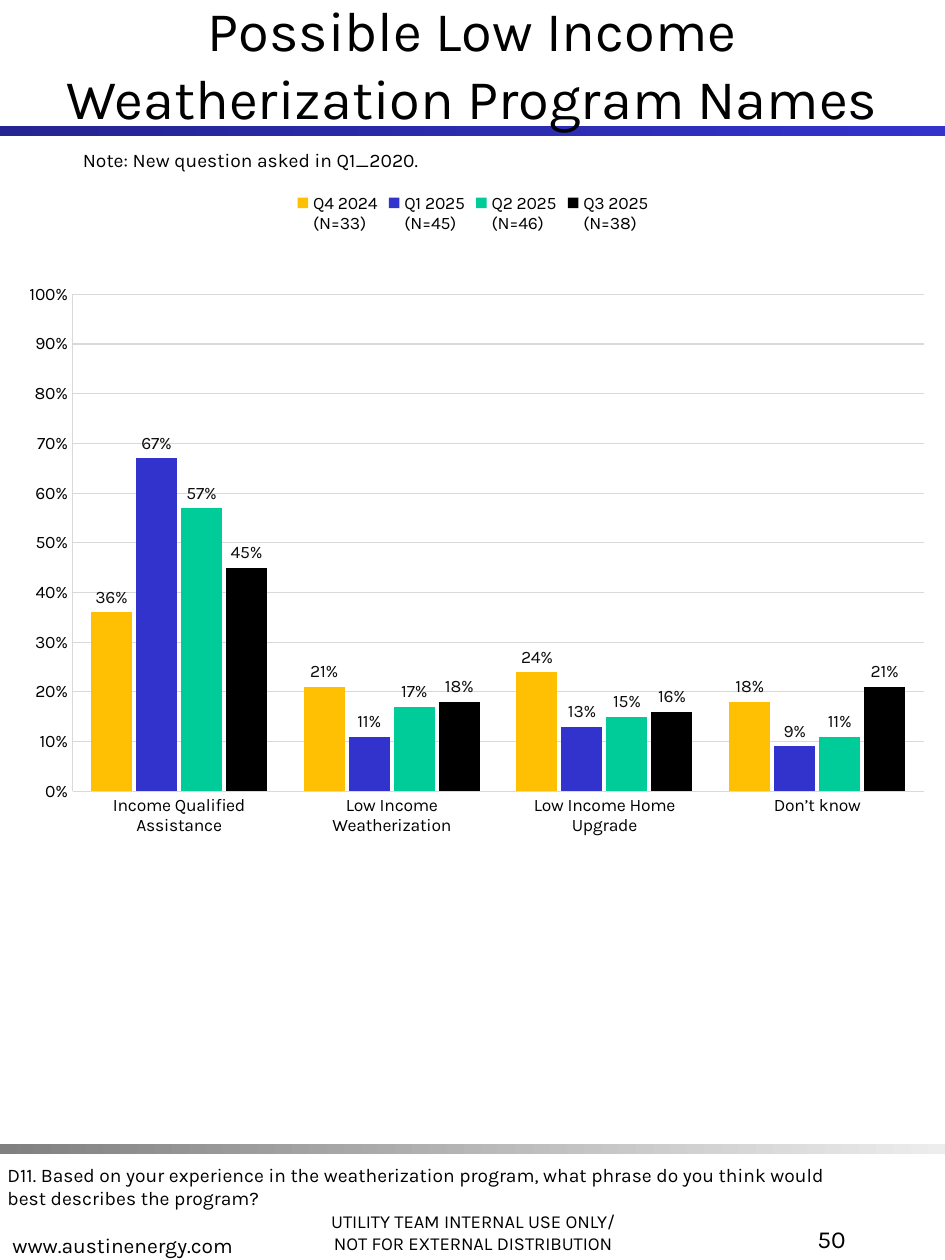
from lxml import etree
from pptx import Presentation
from pptx.chart.data import CategoryChartData
from pptx.dml.color import RGBColor
from pptx.enum import chart as ch, shapes, text
from pptx.util import Cm, Pt

FONT = "Karla"
HUES = {"black": "000000", "label": "0D0D0D", "grid": "D9D9D9",
        "navy": "242492", "blue": "3333CC", "gray": "808080", "pale": "EDEDED",
        "gold": "FFC003", "royal": "3233CC", "green": "00CC9A"}
LEFT, MID, RIGHT = text.PP_ALIGN.LEFT, text.PP_ALIGN.CENTER, text.PP_ALIGN.RIGHT
TOP, LOW = text.MSO_ANCHOR.TOP, text.MSO_ANCHOR.BOTTOM

# Content
TITLE = "Possible Low Income Weatherization Program Names"
BARS = [(2.54, "navy", "blue"), (23.06, "gray", "pale")]  # top, from, to
NOTES = [  # place, lines, size, alignment, anchor
    ((5.49, 23.7, 8.1, 1.7),
     ["UTILITY TEAM INTERNAL USE ONLY/", "NOT FOR EXTERNAL DISTRIBUTION"],
     10.5, MID, LOW),
    ((0, 23.77, 8.1, 1.7), ["www.austinenergy.com"], 12, LEFT, LOW),
    ((13.34, 24.56, 3.96, 1.7), ["50"], 14, RIGHT, TOP),
    ((-0.1, 23.32, 17.4, 1.19),
     ["D11. Based on your experience in the weatherization program, "
      "what phrase do you think would best describes the program?"],
     11, LEFT, TOP),
    ((1.42, 2.87, 16.36, 0.74), ["Note: New question asked in Q1_2020."],
     11, LEFT, TOP),
]
CATS = ["Income Qualified Assistance", "Low Income Weatherization",
        "Low Income Home Upgrade", "Don’t know"]
SERIES = [
    ("Q4 2024\n(N=33)", "gold", (0.36, 0.21, 0.24, 0.18)),
    ("Q1 2025\n(N=45)", "royal", (0.67, 0.11, 0.13, 0.09)),
    ("Q2 2025\n(N=46)", "green", (0.57, 0.17, 0.15, 0.11)),
    ("Q3 2025\n(N=38)", "black", (0.45, 0.18, 0.16, 0.21)),
]
PLOT = {"x": 0.07, "y": 0.165, "w": 0.914, "h": 0.717}


def rgb(name):
    return RGBColor.from_string(HUES[name])


def style(font, size, hue="black"):
    font.name, font.size, font.color.rgb = FONT, Pt(size), rgb(hue)


def write(frame, lines, size, align, anchor):
    frame.word_wrap, frame.vertical_anchor = True, anchor
    for i, line in enumerate(lines):
        para = frame.add_paragraph() if i else frame.paragraphs[0]
        para.alignment = align
        run = para.add_run()
        run.text = line
        style(run.font, size)


def rule(line, width):
    line.color.rgb, line.width = rgb("grid"), Pt(width)


prs = Presentation()
prs.slide_width, prs.slide_height = Cm(19.05), Cm(25.4)
slide = prs.slides.add_slide(prs.slide_layouts[5])

# Gradient bars
for top, start, end in BARS:
    bar = slide.shapes.add_shape(shapes.MSO_SHAPE.RECTANGLE, 0, Cm(top),
                                 prs.slide_width, Cm(0.2))
    bar.shadow.inherit = False
    bar.line.fill.background()
    bar.fill.gradient()
    bar.fill.gradient_angle = 0
    for stop, hue in zip(bar.fill.gradient_stops, (start, end)):
        stop.color.rgb = rgb(hue)

# Title, in front of the bars
title = slide.shapes.title
title.left, title.top, title.width, title.height = 0, 0, prs.slide_width, Cm(2.54)
write(title.text_frame, [TITLE], 32, MID, text.MSO_ANCHOR.MIDDLE)
slide.shapes._spTree.append(title._element)

# Notes and footer
for place, *rest in NOTES:
    box = slide.shapes.add_textbox(*map(Cm, place))
    write(box.text_frame, *rest)

# Chart
data = CategoryChartData(number_format="0%")
data.categories = CATS
for name, _, vals in SERIES:
    data.add_series(name, vals)
chart = slide.shapes.add_chart(ch.XL_CHART_TYPE.COLUMN_CLUSTERED, Cm(0.15), Cm(3.63),
                               Cm(18.77), Cm(13.97), data).chart
style(chart.font, 10)
chart.has_title = False
chart.has_legend = True
chart.legend.position = ch.XL_LEGEND_POSITION.TOP
chart.legend.include_in_layout = False
style(chart.legend.font, 10)

# Columns and their labels
plot = chart.plots[0]
plot.gap_width, plot.overlap, plot.vary_by_categories = 90, -10, False
for ser, (_, hue, _) in zip(plot.series, SERIES):
    ser.format.fill.solid()
    ser.format.fill.fore_color.rgb = rgb(hue)
    tags = ser.data_labels
    tags.show_value, tags.position = True, ch.XL_LABEL_POSITION.OUTSIDE_END
    tags.number_format, tags.number_format_is_linked = "0%", False
    style(tags.font, 10, "label")

# Axes
for axis, width in ((chart.category_axis, 0.62), (chart.value_axis, 0.41)):
    axis.major_tick_mark = axis.minor_tick_mark = ch.XL_TICK_MARK.NONE
    style(axis.tick_labels.font, 10)
    rule(axis.format.line, width)
axis = chart.value_axis
axis.minimum_scale, axis.maximum_scale, axis.major_unit = 0, 1, 0.1
axis.tick_labels.number_format = "0%"
axis.tick_labels.number_format_is_linked = False
axis.has_major_gridlines = True
rule(axis.major_gridlines.format.line, 0.62)

# Fixed inner plot area
area = chart._chartSpace.chart.plotArea
NS = "{%s}" % area.nsmap["c"]
for old in area.findall(NS + "layout"):
    area.remove(old)
layout = etree.Element(NS + "layout")
area.insert(0, layout)
manual = etree.SubElement(layout, NS + "manualLayout")
parts = {"layoutTarget": "inner", "xMode": "edge", "yMode": "edge", **PLOT}
for tag, val in parts.items():
    etree.SubElement(manual, NS + tag, val=str(val))

prs.save("out.pptx")
